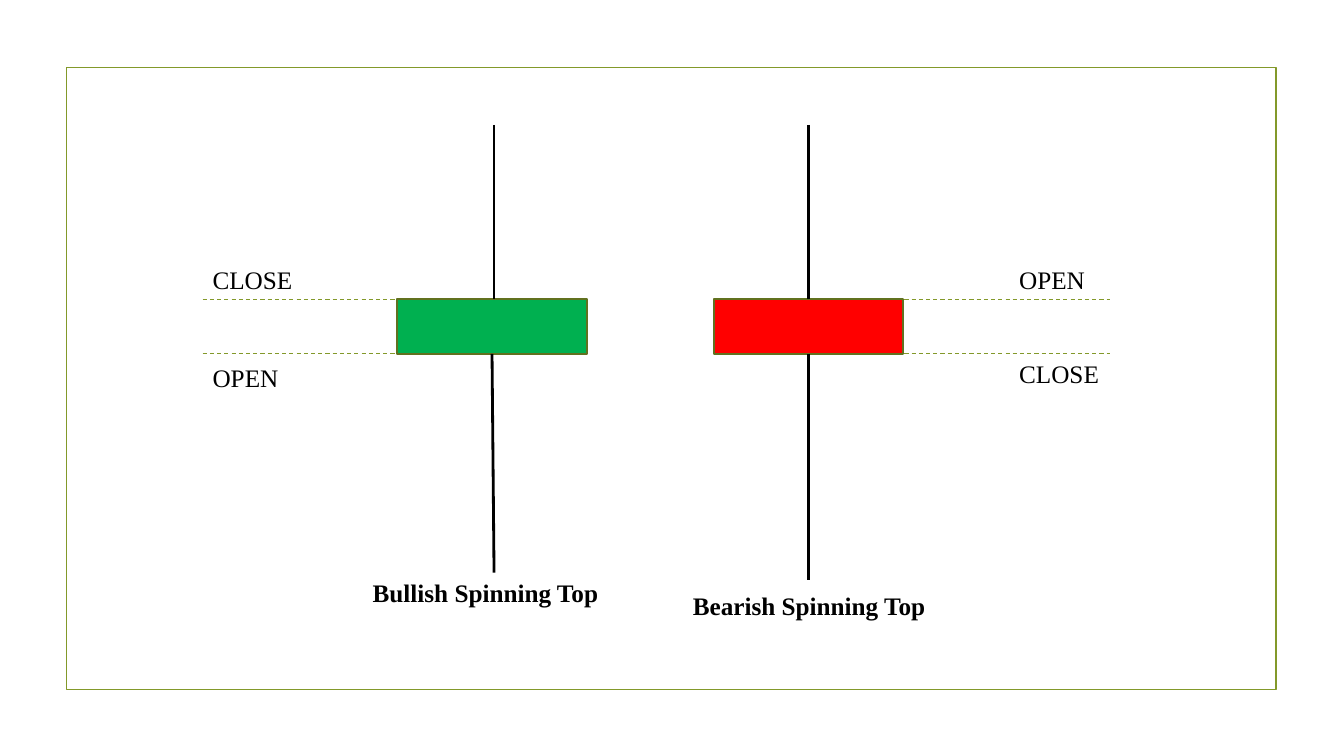
from lxml import etree
from pptx import Presentation
from pptx.dml.color import RGBColor
from pptx.enum.dml import MSO_LINE
from pptx.enum.shapes import MSO_CONNECTOR, MSO_SHAPE
from pptx.enum.text import MSO_ANCHOR, MSO_AUTO_SIZE, PP_ALIGN
from pptx.oxml.ns import qn
from pptx.util import Inches, Pt

RECT = MSO_SHAPE.RECTANGLE
STRAIGHT = MSO_CONNECTOR.STRAIGHT
DASH = MSO_LINE.DASH
LEFT, CENTER = PP_ALIGN.LEFT, PP_ALIGN.CENTER
TOP, MIDDLE = MSO_ANCHOR.TOP, MSO_ANCHOR.MIDDLE
FIT = MSO_AUTO_SIZE.SHAPE_TO_FIT_TEXT

FONT = "Times New Roman"
BLACK = RGBColor(0x00, 0x00, 0x00)
OLIVE = RGBColor(0x83, 0x99, 0x2A)
EDGE = RGBColor(0x61, 0x71, 0x1F)
GREEN = RGBColor(0x00, 0xB0, 0x50)
RED = RGBColor(0xFF, 0x00, 0x00)

HIGH, UPPER, LOWER = 1.24, 2.97, 3.51
BODY = 1.88


def add_box(slide, x, y, w, h, edge, fill=None):
    box = slide.shapes.add_shape(RECT, Inches(x), Inches(y), Inches(w), Inches(h))
    box.shadow.inherit = False
    if fill is None:
        box.fill.background()
    else:
        box.fill.solid()
        box.fill.fore_color.rgb = fill
    box.line.color.rgb = edge
    box.line.width = Pt(1.25)
    return box


def add_line(slide, x1, y1, x2, y2, color, width):
    line = slide.shapes.add_connector(
        STRAIGHT, Inches(x1), Inches(y1), Inches(x2), Inches(y2))
    line.line.color.rgb = color
    line.line.width = Pt(width)
    etree.SubElement(line._element.spPr, qn("a:effectLst"))
    return line


def add_text(slide, text, x, y, w, bold=False, align=LEFT, anchor=TOP):
    box = slide.shapes.add_textbox(Inches(x), Inches(y), Inches(w), Inches(0.4))
    frame = box.text_frame
    frame.word_wrap = True
    frame.auto_size = FIT
    frame.vertical_anchor = anchor
    para = frame.paragraphs[0]
    para.alignment = align
    run = para.add_run()
    run.text = text
    run.font.name = FONT
    run.font.size = Pt(18)
    run.font.bold = bold
    run.font.color.rgb = BLACK


def add_candle(slide, name, x, fill, tip, low, name_x):
    """Draw a body with its two wicks; tip is the x of the wicks' outer ends."""
    body = add_box(slide, x, UPPER, BODY, LOWER - UPPER, EDGE, fill)
    mid = x + BODY / 2
    upper = add_line(slide, tip, HIGH, tip, UPPER, BLACK, 2)
    if tip == mid:
        upper.end_connect(body, 0)
    lower = add_line(slide, mid, LOWER, tip, low, BLACK, 2)
    lower.begin_connect(body, 2)
    add_text(slide, name, name_x, low + (0.06 if tip == mid else 0), 4.27,
             True, CENTER, MIDDLE)


def add_levels(slide, x1, x2):
    """Draw the dashed open and close levels."""
    for y in (UPPER, LOWER):
        add_line(slide, x1, y, x2, y, OLIVE, 0.75).line.dash_style = DASH


def main():
    deck = Presentation()
    deck.slide_width, deck.slide_height = Inches(13.33), Inches(7.5)
    slide = deck.slides.add_slide(deck.slide_layouts[6])

    add_box(slide, 0.66, 0.67, 12, 6.17, OLIVE)
    add_candle(slide, "Bullish Spinning Top", 3.94, GREEN, 4.9, 5.68, 2.68)
    add_candle(slide, "Bearish Spinning Top", 7.08, RED, 8.02, 5.75, 5.89)
    add_levels(slide, 2.01, 3.94)
    add_levels(slide, 8.97, 11.01)
    for text, x, y, w in (
        ("CLOSE", 2.01, 2.57, 1.33),
        ("OPEN", 2.01, 3.55, 1.12),
        ("OPEN", 10.01, 2.57, 1.19),
        ("CLOSE", 10.01, 3.51, 2),
    ):
        add_text(slide, text, x, y, w)

    deck.save("out.pptx")


if __name__ == "__main__":
    main()
